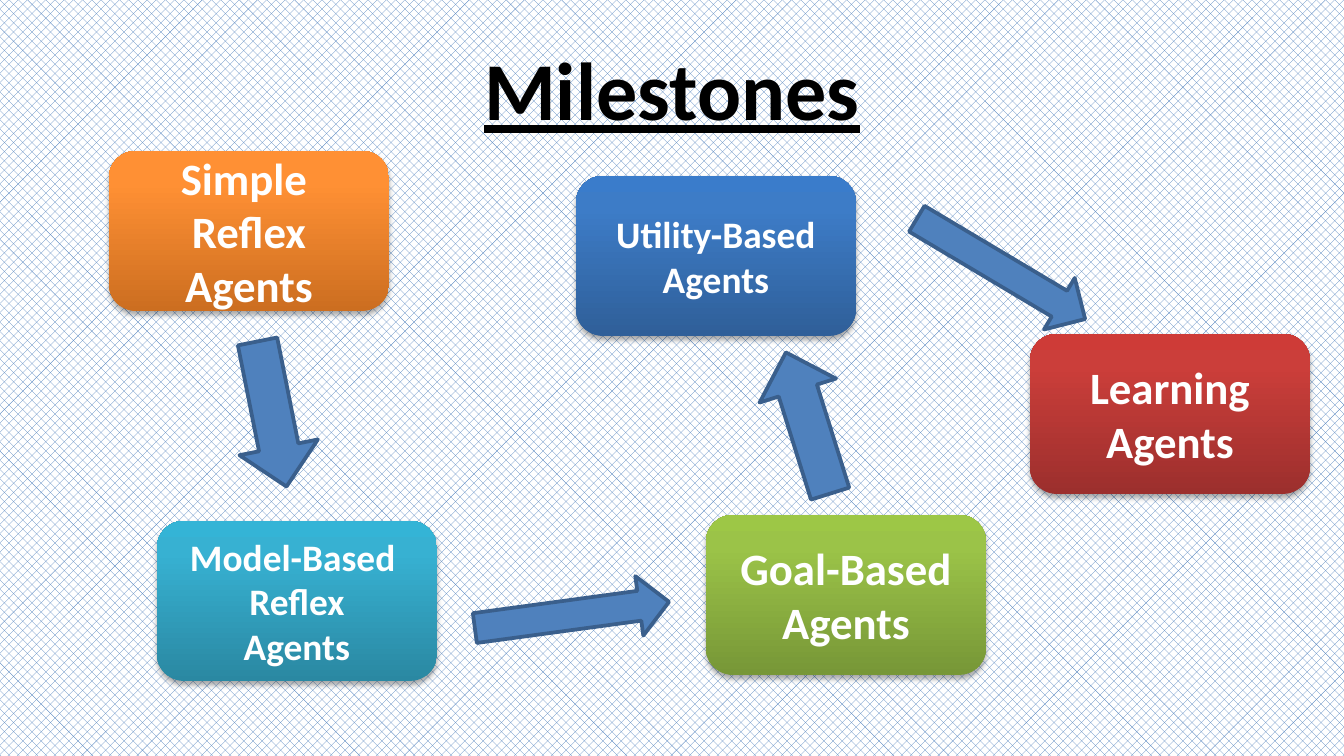
from dataclasses import dataclass

from lxml.etree import SubElement
from pptx import Presentation
from pptx.dml.color import RGBColor
from pptx.enum.dml import MSO_PATTERN
from pptx.enum.shapes import MSO_SHAPE
from pptx.enum.text import MSO_ANCHOR, PP_ALIGN
from pptx.oxml.ns import qn
from pptx.util import Pt

PX = 914400 / 134.4
BOX_W, BOX_H = 280, 160
FONT = "Calibri"


@dataclass
class Box:
    x: int
    y: int
    size: int
    lines: list[str]
    shades: tuple[str, str, str]  # bottom, near top, top


@dataclass
class Arrow:
    x: int
    y: int
    w: int
    h: int
    turn: float


BOXES = [
    Box(109, 151, 24, ["Simple ", "Reflex", "Agents"], ("CC6E20", "FF9034", "FF9136")),
    Box(157, 521, 20, ["Model-Based ", "Reflex", "Agents"], ("2A88A2", "37B1D2", "34B4D6")),
    Box(706, 515, 24, ["Goal-Based", "Agents"], ("779737", "9BC348", "9DC746")),
    Box(576, 176, 20, ["Utility-Based", "Agents"], ("2F5F99", "3D7CC7", "3A7CCB")),
    Box(1030, 334, 24, ["Learning", "Agents"], ("9C2F2D", "CB3E3A", "CE3B37")),
]
ARROWS = [
    Arrow(198, 374, 148, 80, 78.7),
    Arrow(474, 585, 196, 60, 352.3),
    Arrow(734, 383, 148, 80, 252.6),
    Arrow(903, 239, 196, 60, 30.8),
]


def px(n: int) -> int:
    return round(n * PX)


def rgb(code: str) -> RGBColor:
    return RGBColor.from_string(code)


def write(frame, lines: list[str], size: int, color: str, under: bool = False) -> None:
    frame.word_wrap = True
    frame.vertical_anchor = MSO_ANCHOR.MIDDLE
    for i, line in enumerate(lines):
        para = frame.add_paragraph() if i else frame.paragraphs[0]
        para.alignment = PP_ALIGN.CENTER
        run = para.add_run()
        run.text = line
        font = run.font
        font.name, font.size, font.bold = FONT, Pt(size), True
        font.color.rgb = rgb(color)
        if under:
            font.underline = True


def shade(shape, shades: tuple[str, str, str]) -> None:
    """Fill from bottom to top through three colours."""
    shape.fill.gradient()
    shape.fill.gradient_angle = 90
    stops = shape._element.spPr.find(qn("a:gradFill")).find(qn("a:gsLst"))
    for stop in list(stops):
        stops.remove(stop)
    for pos, code in zip((0, 80, 100), shades):
        stop = SubElement(stops, qn("a:gs"), pos=str(pos * 1000))
        SubElement(stop, qn("a:srgbClr"), val=code)


def drop(shape) -> None:
    """Add a soft shadow just below the shape."""
    shape.shadow.inherit = False
    effects = shape._element.spPr.find(qn("a:effectLst"))
    outer = SubElement(effects, qn("a:outerShdw"), blurRad=str(Pt(3.1)),
                       dist=str(Pt(1.8)), dir="5400000", rotWithShape="0")
    color = SubElement(outer, qn("a:srgbClr"), val="000000")
    SubElement(color, qn("a:alpha"), val="35000")


def draw_box(slide, box: Box) -> None:
    shape = slide.shapes.add_shape(MSO_SHAPE.ROUNDED_RECTANGLE, px(box.x), px(box.y),
                                   px(BOX_W), px(BOX_H))
    shade(shape, box.shades)
    shape.line.fill.background()
    drop(shape)
    write(shape.text_frame, box.lines, box.size, "FFFFFF")


def draw_arrow(slide, arrow: Arrow) -> None:
    shape = slide.shapes.add_shape(MSO_SHAPE.RIGHT_ARROW, px(arrow.x), px(arrow.y),
                                   px(arrow.w), px(arrow.h))
    shape.rotation = arrow.turn
    shape.shadow.inherit = False
    shape.fill.solid()
    shape.fill.fore_color.rgb = rgb("4F81BD")
    shape.line.color.rgb = rgb("3A5F8C")
    shape.line.width = Pt(2)


def main() -> None:
    deck = Presentation()
    deck.slide_width, deck.slide_height = px(1344), px(756)
    slide = deck.slides.add_slide(deck.slide_layouts[5])

    # Patterned background
    back = slide.background.fill
    back.patterned()
    back.pattern = MSO_PATTERN.PERCENT_50
    back.fore_color.rgb = rgb("4F81BD")
    back.back_color.rgb = rgb("FFFFFF")

    # Title
    title = slide.shapes.title
    title.left, title.top, title.width, title.height = map(px, (67, 25, 1210, 126))
    write(title.text_frame, ["Milestones"], 44, "000000", under=True)

    # Agent types and the path between them
    for box in BOXES:
        draw_box(slide, box)
    for arrow in ARROWS:
        draw_arrow(slide, arrow)

    deck.save("out.pptx")


if __name__ == "__main__":
    main()
